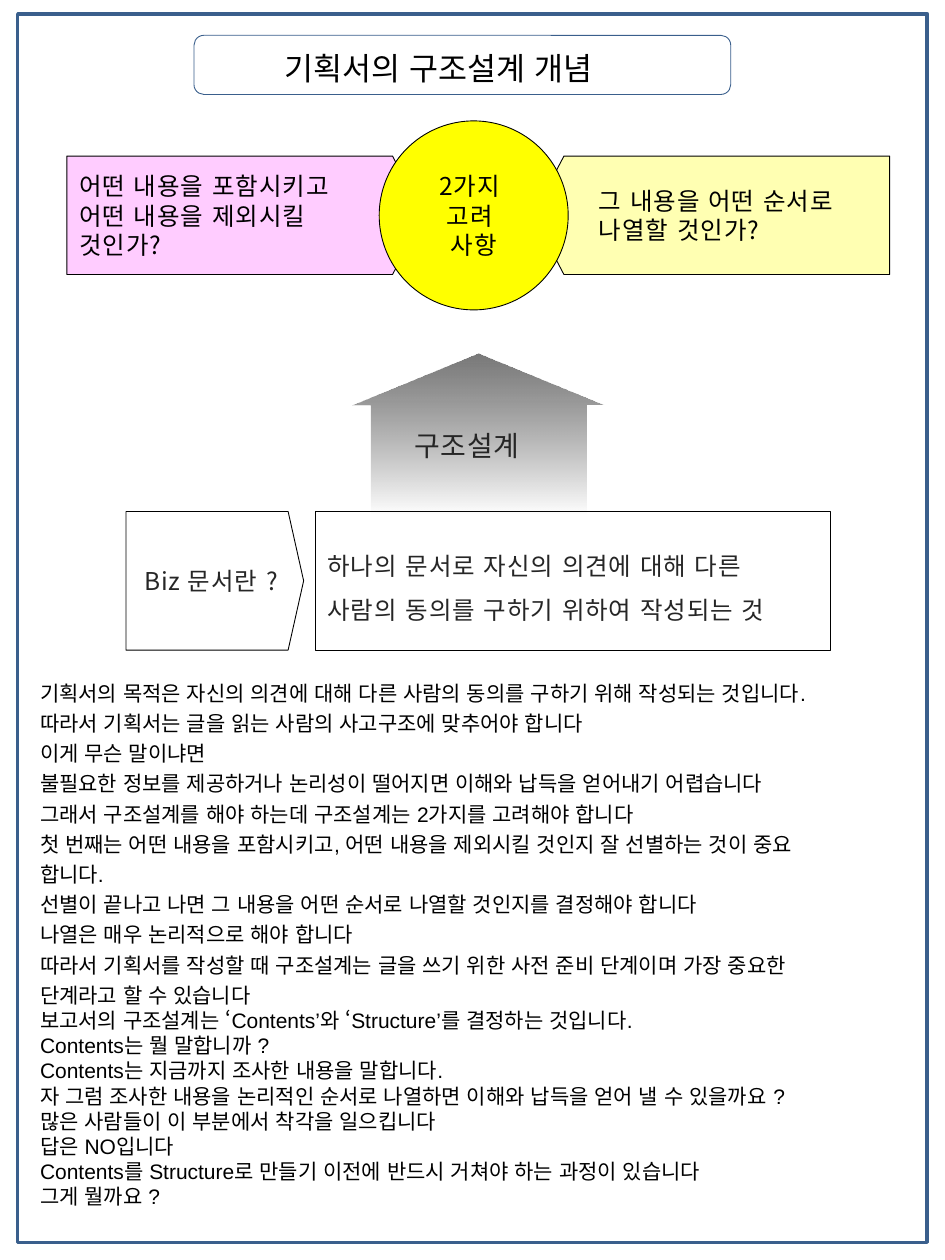
from dataclasses import dataclass

from lxml import etree
from pptx import Presentation
from pptx.dml.color import RGBColor
from pptx.enum.lang import MSO_LANGUAGE_ID
from pptx.enum.shapes import MSO_SHAPE
from pptx.enum.text import MSO_ANCHOR, MSO_AUTO_SIZE, PP_ALIGN
from pptx.oxml import parse_xml
from pptx.oxml.ns import nsdecls, qn
from pptx.util import Pt

RECT = MSO_SHAPE.RECTANGLE
ROUNDED = MSO_SHAPE.ROUNDED_RECTANGLE
PENTAGON = MSO_SHAPE.PENTAGON
UP_ARROW = MSO_SHAPE.UP_ARROW
OVAL = MSO_SHAPE.OVAL
LEFT, CENTER = PP_ALIGN.LEFT, PP_ALIGN.CENTER
TOP, MIDDLE = MSO_ANCHOR.TOP, MSO_ANCHOR.MIDDLE
GROW = MSO_AUTO_SIZE.SHAPE_TO_FIT_TEXT
KOREAN = MSO_LANGUAGE_ID.KOREAN


@dataclass(frozen=True)
class Theme:
    frame: str = "3A5F8C"
    ink: str = "000000"
    soft_ink: str = "262626"
    paper: str = "FFFFFF"
    pink: str = "FFCCFF"
    yellow: str = "FFFF00"
    arrow_top: str = "777777"
    arrow_bottom: str = "555555"
    latin: str = "Arial"
    korean: str = "Noto Sans CJK KR"
    title: float = 18
    arrow: float = 16
    label: float = 14
    body: float = 12
    thin: float = 0.5
    thick: float = 2


THEME = Theme()

PURPOSE = [
    "기획서의 목적은 자신의 의견에 대해 다른 사람의 동의를 구하기 위해 작성되는 것입니다.",
    "따라서 기획서는 글을 읽는 사람의 사고구조에 맞추어야 합니다",
    "이게 무슨 말이냐면",
    "불필요한 정보를 제공하거나 논리성이 떨어지면 이해와 납득을 얻어내기 어렵습니다",
    "그래서 구조설계를 해야 하는데 구조설계는 2가지를 고려해야 합니다",
    "첫 번째는 어떤 내용을 포함시키고, 어떤 내용을 제외시킬 것인지 잘 선별하는 것이 중요",
    "합니다.",
    "선별이 끝나고 나면 그 내용을 어떤 순서로 나열할 것인지를 결정해야 합니다",
    "나열은 매우 논리적으로 해야 합니다",
    "따라서 기획서를 작성할 때 구조설계는 글을 쓰기 위한 사전 준비 단계이며 가장 중요한",
    "단계라고 할 수 있습니다",
]
CONTENTS = [
    "보고서의 구조설계는 ‘Contents’와 ‘Structure’를 결정하는 것입니다.",
    "Contents는 뭘 말합니까 ?",
    "Contents는 지금까지 조사한 내용을 말합니다.",
    "자 그럼 조사한 내용을 논리적인 순서로 나열하면 이해와 납득을 얻어 낼 수 있을까요 ?",
    "많은 사람들이 이 부분에서 착각을 일으킵니다",
    "답은 NO입니다",
    "Contents를 Structure로 만들기 이전에 반드시 거쳐야 하는 과정이 있습니다",
    "그게 뭘까요 ?",
]


def write(shape, lines, *, size=THEME.label, font=THEME.korean, color=THEME.ink,
          align=LEFT, anchor=MIDDLE, spacing=(), tracking=0.5, indent=7.2, wrap=True):
    """Fill a shape with one paragraph per line; spacing gives each line's height."""
    frame = shape.text_frame
    frame.word_wrap = wrap
    frame.vertical_anchor = anchor
    frame.margin_left = Pt(indent)
    for i, line in enumerate(lines):
        paragraph = frame.paragraphs[0] if i == 0 else frame.add_paragraph()
        paragraph.alignment = align
        if i < len(spacing):
            paragraph.line_spacing = spacing[i]
        run = paragraph.add_run()
        run.text = line
        run.font.size = Pt(size)
        run.font.name = font
        run.font.color.rgb = RGBColor.from_string(color)
        run.font.language_id = KOREAN
        properties = run.font._element
        if tracking:
            properties.set("spc", str(round(tracking * 100)))
        east_asian = etree.Element(qn("a:ea"), typeface=THEME.korean)
        properties.find(qn("a:latin")).addnext(east_asian)


def add_shape(slide, kind, box, *, fill=None, line=THEME.ink, width=THEME.thin, adjust=()):
    shape = slide.shapes.add_shape(kind, *map(Pt, box))
    shape.shadow.inherit = False
    for i, value in enumerate(adjust):
        shape.adjustments[i] = value
    if fill:
        shape.fill.solid()
        shape.fill.fore_color.rgb = RGBColor.from_string(fill)
    else:
        shape.fill.background()
    if line:
        shape.line.color.rgb = RGBColor.from_string(line)
        shape.line.width = Pt(width)
    else:
        shape.line.fill.background()
    return shape


def add_text(slide, box, lines, **style):
    text_box = slide.shapes.add_textbox(*map(Pt, box))
    write(text_box, lines, anchor=TOP, **style)
    text_box.text_frame.auto_size = GROW


def fade_down(shape, top, bottom):
    """Vertical gradient that becomes fully transparent at the bottom."""
    gradient = parse_xml(
        f'<a:gradFill {nsdecls("a")} rotWithShape="1"><a:gsLst>'
        f'<a:gs pos="0"><a:srgbClr val="{top}"/></a:gs>'
        f'<a:gs pos="100000"><a:srgbClr val="{bottom}"><a:alpha val="0"/></a:srgbClr></a:gs>'
        '</a:gsLst><a:lin ang="5400000" scaled="0"/></a:gradFill>')
    properties = shape._element.spPr
    properties.replace(properties.find(qn("a:noFill")), gradient)


def set_opacity(shape, percent):
    color = shape._element.spPr.find(qn("a:solidFill"))[0]
    etree.SubElement(color, qn("a:alpha"), val=str(percent * 1000))


def flip_horizontally(shape):
    shape._element.spPr.find(qn("a:xfrm")).set("flipH", "1")


def add_heading(slide):
    add_text(slide, (155.5, 20.2, 209.5, 33), ["기획서의 구조설계 개념"],
             size=THEME.title, font=THEME.latin, spacing=[1.2], tracking=0)
    add_shape(slide, RECT, (10.1, 7.9, 519.8, 702), line=THEME.frame, width=THEME.thick)
    add_shape(slide, ROUNDED, (110.9, 20.2, 306.7, 33.8), line=THEME.frame)


def add_definition(slide):
    top, height = 292.3, 79.2
    answer = add_shape(slide, RECT, (180, top, 294.5, height), fill=THEME.paper)
    write(answer, ["하나의 문서로 자신의 의견에 대해 다른 사람의 동의를 구하기 위하여 작성되는 것"],
          color=THEME.soft_ink, spacing=[1.5])
    question = add_shape(slide, PENTAGON, (72, top, 101.5, height),
                         fill=THEME.paper, adjust=[0.112])
    write(question, ["Biz 문서란 ?"], color=THEME.soft_ink, align=CENTER, wrap=False)
    arrow = add_shape(slide, UP_ARROW, (201.6, 202.3, 144, 91.4),
                      line=None, adjust=[0.854, 0.322])
    fade_down(arrow, THEME.arrow_top, THEME.arrow_bottom)


def add_considerations(slide):
    top, width, height = 89.2, 203.8, 67.7
    order = add_shape(slide, PENTAGON, (304.6, top, width, height),
                      fill=THEME.yellow, adjust=[0.261])
    set_opacity(order, 30)
    flip_horizontally(order)
    write(order, ["그 내용을 어떤 순서로", "나열할 것인가?"], indent=28.9)
    selection = add_shape(slide, PENTAGON, (38.2, top, width, height),
                          fill=THEME.pink, adjust=[0.261])
    write(selection, ["어떤 내용을 포함시키고", "어떤 내용을 제외시킬", "것인가?"])
    # Arrow caption
    add_text(slide, (229.7, 241.2, 81.4, 26.6), ["구조설계"],
             size=THEME.arrow, color=THEME.soft_ink)
    hub = add_shape(slide, OVAL, (216.7, 69.1, 108, 108), fill=THEME.yellow)
    write(hub, ["2가지 ", "고려 ", "사항"], align=CENTER)


def add_explanation(slide):
    add_text(slide, (15.8, 382.3, 500.4, 332.6), PURPOSE + CONTENTS, size=THEME.body,
             font=THEME.latin, spacing=[1.2] * len(PURPOSE), tracking=0)


def main():
    deck = Presentation()
    deck.slide_width, deck.slide_height = Pt(540), Pt(720)
    slide = deck.slides.add_slide(deck.slide_layouts[6])
    add_heading(slide)
    add_definition(slide)
    add_considerations(slide)
    add_explanation(slide)
    deck.save("out.pptx")


if __name__ == "__main__":
    main()
